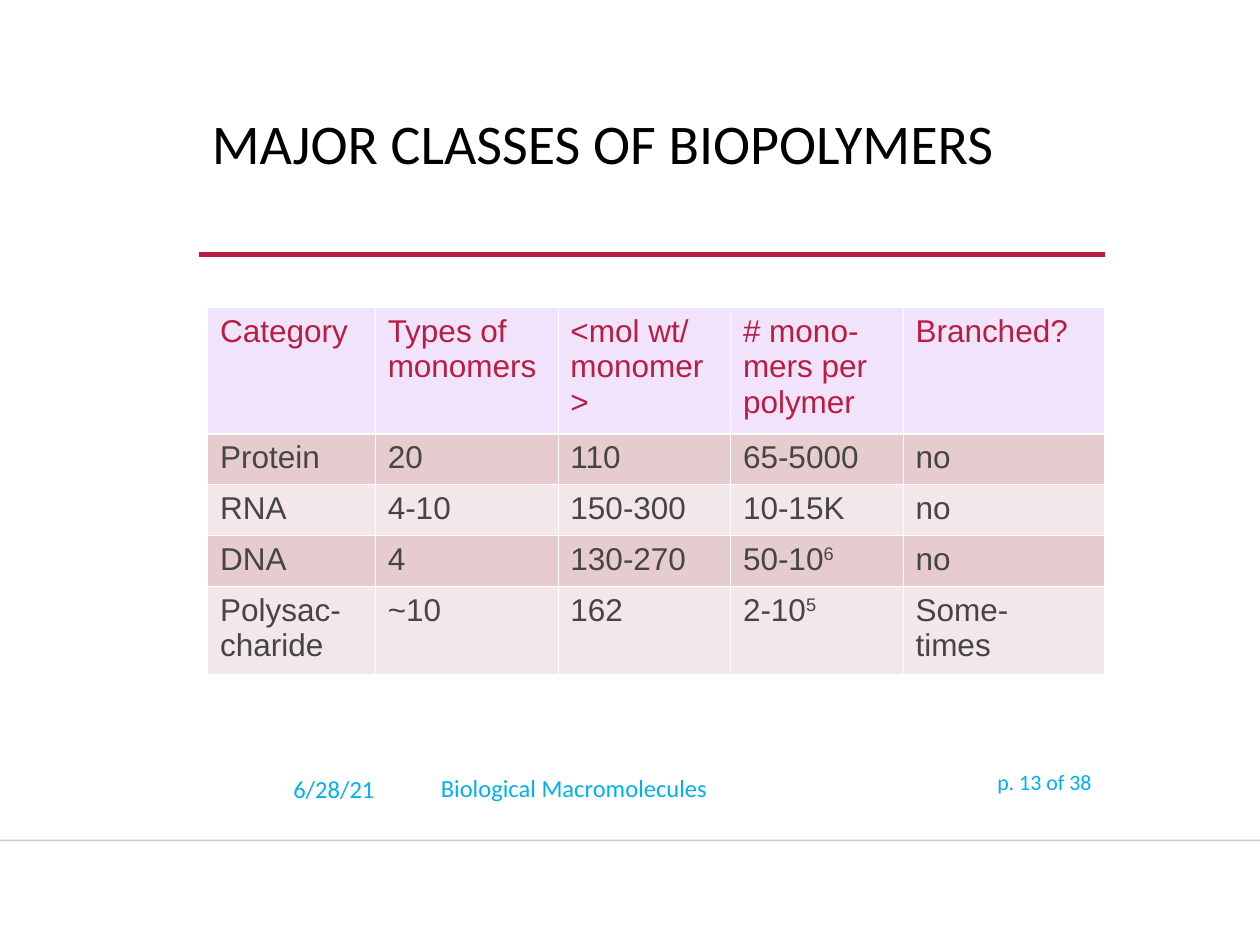
from lxml.etree import SubElement
from pptx import Presentation
from pptx.dml.color import RGBColor as Color
from pptx.enum.shapes import MSO_CONNECTOR as Connector
from pptx.enum.text import MSO_ANCHOR as Anchor, MSO_AUTO_SIZE as AutoSize, PP_ALIGN as Align
from pptx.oxml.ns import qn
from pptx.util import Pt

COLORS = {
    "title": "000000", "accent": "B71E42", "footer": "00B0F0", "base_rule": "000001",
    "body": "454545", "header_fill": "F2E3FC", "dark_band": "E6CCCF",
    "light_band": "F3E7E9", "border": "FFFFFF",
}
# A caret starts a superscript
ROWS = [
    ["Category", "Types of monomers", "<mol wt/\nmonomer>", "# mono-mers per polymer", "Branched?"],
    ["Protein", "20", "110", "65-5000", "no"],
    ["RNA", "4-10", "150-300", "10-15K", "no"],
    ["DNA", "4", "130-270", "50-10^6", "no"],
    ["Polysac-charide", "~10", "162", "2-10^5", "Some-\ntimes"],
]
COLUMN_WIDTHS = [95.8, 104.4, 98.6, 98.6, 115.2]
ROW_HEIGHTS = [70, 29.1, 29.1, 29.1, 48.5]


def color(name):
    return Color.from_string(COLORS[name])


def write(frame, text, *, size, fill, font="Calibri", align=Align.LEFT, spacing=None):
    frame.word_wrap = True
    para = frame.paragraphs[0]
    para.alignment = align
    para.line_spacing = spacing
    for number, line in enumerate(text.split("\n")):
        if number:
            para.add_line_break()
        for level, part in enumerate(line.split("^")):
            span = para.add_run()
            span.text = part
            span.font.name, span.font.size = font, Pt(size)
            span.font.color.rgb = color(fill)
            if level:
                span.font._element.set("baseline", "30000")


def add_rule(page, left, top, width, weight, fill, opacity=100):
    rule = page.shapes.add_connector(
        Connector.STRAIGHT, Pt(left), Pt(top), Pt(left + width), Pt(top))
    rule.line.width = Pt(weight)
    rule.line.color.rgb = color(fill)
    properties = rule._element.spPr
    SubElement(properties, qn("a:effectLst"))
    if opacity < 100:
        shade = properties.find(".//" + qn("a:srgbClr"))
        SubElement(shade, qn("a:alpha"), val=str(opacity * 1000))


def add_heading(page, left, top, width, height):
    title = page.shapes.title
    title.left, title.top, title.width, title.height = map(Pt, (left, top, width, height))
    frame = title.text_frame
    frame.auto_size = AutoSize.NONE
    frame.vertical_anchor = Anchor.TOP
    write(frame, "MAJOR CLASSES OF BIOPOLYMERS", size=32, fill="title", spacing=0.9)
    add_rule(page, left, top + height, width, 2.5, "accent")


def set_borders(cell, **weights):
    properties = cell._tc.get_or_add_tcPr()
    for position, side in enumerate("LRTB"):
        weight = weights.get(side, 0.45)
        border = properties.makeelement(qn(f"a:ln{side}"), {"w": str(Pt(weight))})
        paint = SubElement(border, qn("a:solidFill"))
        SubElement(paint, qn("a:srgbClr"), val=COLORS["border"])
        properties.insert(position, border)


def add_biopolymer_table(page, left, top):
    table = page.shapes.add_table(
        len(ROWS), len(COLUMN_WIDTHS), Pt(left), Pt(top),
        Pt(sum(COLUMN_WIDTHS)), Pt(sum(ROW_HEIGHTS))).table
    for column, width in zip(table.columns, COLUMN_WIDTHS):
        column.width = Pt(width)
    for number, (row, height, texts) in enumerate(zip(table.rows, ROW_HEIGHTS, ROWS)):
        row.height = Pt(height)
        band = "dark_band" if number % 2 else "light_band"
        weights = {0: {"B": 1.47}, 1: {"T": 1.47}}.get(number, {})
        for cell, text in zip(row.cells, texts):
            cell.fill.solid()
            cell.fill.fore_color.rgb = color(band if number else "header_fill")
            set_borders(cell, **weights)
            write(cell.text_frame, text, size=18, font="Arial",
                  fill="body" if number else "accent")


def add_footer(page, left, top):
    # Offset from the corner, size, text, text size, alignment, anchor
    parts = [
        (0, 1.5, 107.3, 24.5, "6/28/21", 14, Align.RIGHT, Anchor.MIDDLE),
        (131, 0.8, 229.7, 24.5, "Biological Macromolecules", 14, Align.LEFT, Anchor.MIDDLE),
        (385.2, 0, 131.8, 26, "p. 13 of 38", 12.5, Align.RIGHT, Anchor.TOP),
    ]
    for across, down, width, height, text, size, align, anchor in parts:
        box = page.shapes.add_textbox(Pt(left + across), Pt(top + down), Pt(width), Pt(height))
        box.text_frame.vertical_anchor = anchor
        write(box.text_frame, text, size=size, fill="footer", align=align, spacing=0.8)


def main():
    deck = Presentation()
    deck.slide_width, deck.slide_height = Pt(720), Pt(540)
    page = deck.slides.add_slide(deck.slide_layouts[5])

    # Rule across the foot of the page
    add_rule(page, 0, 480.3, 720, 1, "base_rule", opacity=20)
    # Title with its underline
    add_heading(page, 113.8, 63, 517.4, 82.5)
    # Date, subject and page number
    add_footer(page, 113.8, 438.5)
    # Comparison of the biopolymers
    add_biopolymer_table(page, 118.6, 175.8)

    deck.save("out.pptx")


if __name__ == "__main__":
    main()
